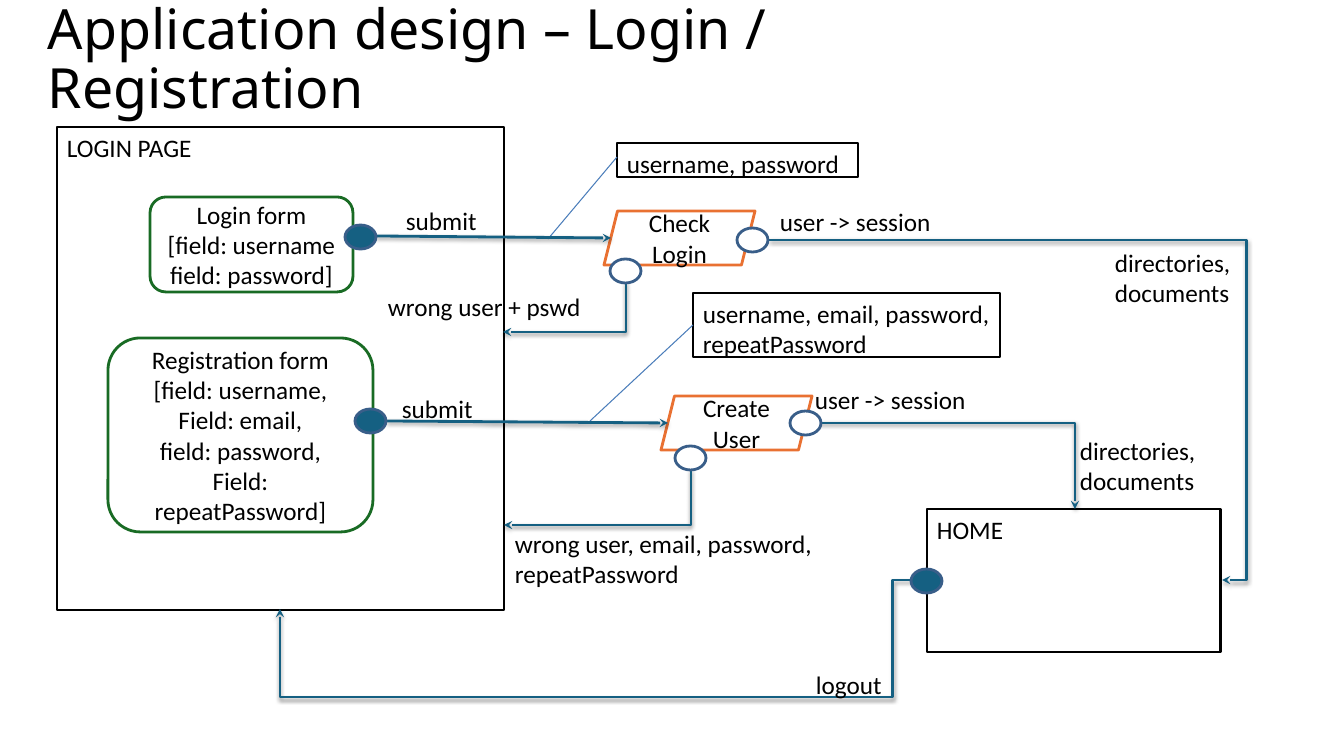
import pptx
import pptx.util
import pptx.dml.color
import pptx.enum.shapes
import pptx.enum.text
import pptx.oxml
import pptx.oxml.ns

MSO_SHAPE = pptx.enum.shapes.MSO_SHAPE
EMU_PER_PX = 914400 / 100.8
BLACK, WHITE, TEAL = "000000", "FFFFFF", "156082"
GREEN, ORANGE, NAVY, BLUE = "196B24", "E97132", "395E89", "4A7DBA"

# Content: boxes are left, top, width, height in px; \v is a line break
TITLE = ("Application design – Login / Registration", (38, 26, 963, 70))
PAGES = [
    ("LOGIN PAGE", (57, 127, 447, 483)),
    ("HOME", (927, 509, 294, 143)),
    ("username, password", (617, 143, 241, 34)),
    ("username, email, password,\nrepeatPassword", (693, 293, 307, 64)),
]
FORMS = [
    ("Login form\v[field: username\nfield: password]", (150, 197, 203, 95)),
    ("Registration form\v[field: username,\nField: email,\nfield: password,\n"
     "Field: repeatPassword]", (108, 338, 265, 194)),
]
ACTIONS = [
    ("Check\vLogin", (604, 211, 151, 54)),
    ("Create User", (661, 396, 151, 54)),
]
EVENT_SIZE = (31, 24)
EVENTS = [
    (TEAL, [(345, 225), (355, 409), (911, 569)]),
    (WHITE, [(737, 228), (610, 259), (790, 411), (675, 446)]),
]
LABELS = [
    ("submit", (396, 200, 92, 30)),
    ("submit", (392, 388, 92, 30)),
    ("wrong user + pswd", (378, 286, 215, 39)),
    ("wrong user, email, password, repeatPassword", (505, 523, 331, 67)),
    ("user -> session", (770, 201, 171, 30)),
    ("user -> session", (805, 379, 171, 30)),
    ("directories, documents", (1105, 242, 151, 72)),
    ("directories, documents", (1070, 430, 151, 72)),
    ("logout", (806, 664, 92, 30)),
]
CALLOUT_LINES = [((617, 157), (548, 239)), ((693, 325), (590, 421))]
# Each flow lists its corner points, from its event to its arrowhead
FLOWS = [
    [(376, 236), (611, 238)],
    [(387, 421), (668, 423)],
    [(626, 282), (626, 332), (503, 332)],
    [(691, 469), (691, 525), (504, 525)],
    [(805, 423), (1075, 423), (1075, 509)],
    [(769, 240), (1247, 240), (1247, 580), (1222, 580)],
    [(911, 580), (893, 580), (893, 697), (280, 697), (280, 609)],
]
SHADOW = (
    '<a:effectLst %s><a:outerShdw blurRad="39370" dist="20320" dir="5400000" rotWithShape="0">'
    '<a:srgbClr val="000000"><a:alpha val="38000"/></a:srgbClr></a:outerShdw></a:effectLst>'
)


def px(length):
    return round(length * EMU_PER_PX)


def color(value):
    return pptx.dml.color.RGBColor.from_string(value)


def element(xml):
    return pptx.oxml.parse_xml(xml % pptx.oxml.ns.nsdecls("a"))


def write(shape, text, size=18, font="Calibri", centered=False, middle=False):
    frame = shape.text_frame
    frame.word_wrap = True
    frame.text = text
    anchor = pptx.enum.text.MSO_ANCHOR
    frame.vertical_anchor = anchor.MIDDLE if middle else anchor.TOP
    align = pptx.enum.text.PP_ALIGN
    for paragraph in frame.paragraphs:
        paragraph.alignment = align.CENTER if centered else align.LEFT
        paragraph.font.size = pptx.util.Pt(size)
        paragraph.font.name = font
        paragraph.font.color.rgb = color(BLACK)


def add_label(text, box, **style):
    label = slide.shapes.add_textbox(*map(px, box))
    write(label, text, **style)
    return label


def add_outlined(kind, box, line, fill=WHITE):
    shape = slide.shapes.add_shape(kind, *map(px, box))
    shape.shadow.inherit = False
    shape.fill.solid()
    shape.fill.fore_color.rgb = color(fill)
    shape.line.color.rgb = color(line)
    shape.line.width = pptx.util.Pt(2)
    return shape


def add_line(kind, start, end, line, width, effect):
    connector = slide.shapes.add_connector(kind, *map(px, start + end))
    connector.line.color.rgb = color(line)
    connector.line.width = pptx.util.Pt(width)
    connector._element.spPr.append(element(effect))
    return connector


def add_flow(points):
    kinds = pptx.enum.shapes.MSO_CONNECTOR
    (x1, y1), (x2, y2) = start, end = points[0], points[-1]
    corners = len(points) - 2
    vertical_first = corners and points[1][0] == x1
    if vertical_first:
        # An elbow leaves sideways, so lay it flat and turn it by 90 degrees
        mid_x, mid_y = (x1 + x2) / 2, (y1 + y2) / 2
        half_width, half_height = (y2 - y1) / 2, (x1 - x2) / 2
        start = (mid_x - half_width, mid_y - half_height)
        end = (mid_x + half_width, mid_y + half_height)
    connector = add_line(kinds.ELBOW if corners else kinds.STRAIGHT, start, end, TEAL, 2, SHADOW)
    connector.line._get_or_add_ln().append(element('<a:tailEnd %s type="stealth"/>'))
    properties = connector._element.spPr
    if vertical_first:
        properties.find(pptx.oxml.ns.qn("a:xfrm")).set("rot", "5400000")
    if corners:
        geometry = properties.find(pptx.oxml.ns.qn("a:prstGeom"))
        geometry.set("prst", f"bentConnector{corners + 1}")
        # Turning points, as shares of the connector's width and height
        turns = []
        if corners > 1:
            turns.append((points[1][0] - x1) / (x2 - x1))
        if corners > 2:
            turns.append((points[2][1] - y1) / (y2 - y1))
        guides = "".join(
            f'<a:gd name="adj{number}" fmla="val {round(turn * 100000)}"/>'
            for number, turn in enumerate(turns, 1))
        for child in list(geometry):
            geometry.remove(child)
        geometry.append(element("<a:avLst %s>" + guides + "</a:avLst>"))


presentation = pptx.Presentation()
presentation.slide_width, presentation.slide_height = px(1344), px(756)
slide = presentation.slides.add_slide(presentation.slide_layouts[6])

# Title
title = add_label(*TITLE, size=39.6, font="Noto Sans", middle=True)
title.text_frame.paragraphs[0].line_spacing = 0.9

# Pages, data boxes, forms and actions
for text, box in PAGES:
    write(add_outlined(MSO_SHAPE.RECTANGLE, box, BLACK), text)
for kind, line, items in [(MSO_SHAPE.ROUNDED_RECTANGLE, GREEN, FORMS),
                          (MSO_SHAPE.PARALLELOGRAM, ORANGE, ACTIONS)]:
    for text, box in items:
        write(add_outlined(kind, box, line), text, centered=True, middle=True)

# Callout lines and flows
for start, end in CALLOUT_LINES:
    add_line(pptx.enum.shapes.MSO_CONNECTOR.STRAIGHT, start, end, BLUE, 0.75, "<a:effectLst %s/>")
for points in FLOWS:
    add_flow(points)

# Events and labels
for fill, corners in EVENTS:
    for corner in corners:
        add_outlined(MSO_SHAPE.OVAL, corner + EVENT_SIZE, NAVY, fill)
for text, box in LABELS:
    add_label(text, box)

presentation.save("out.pptx")
